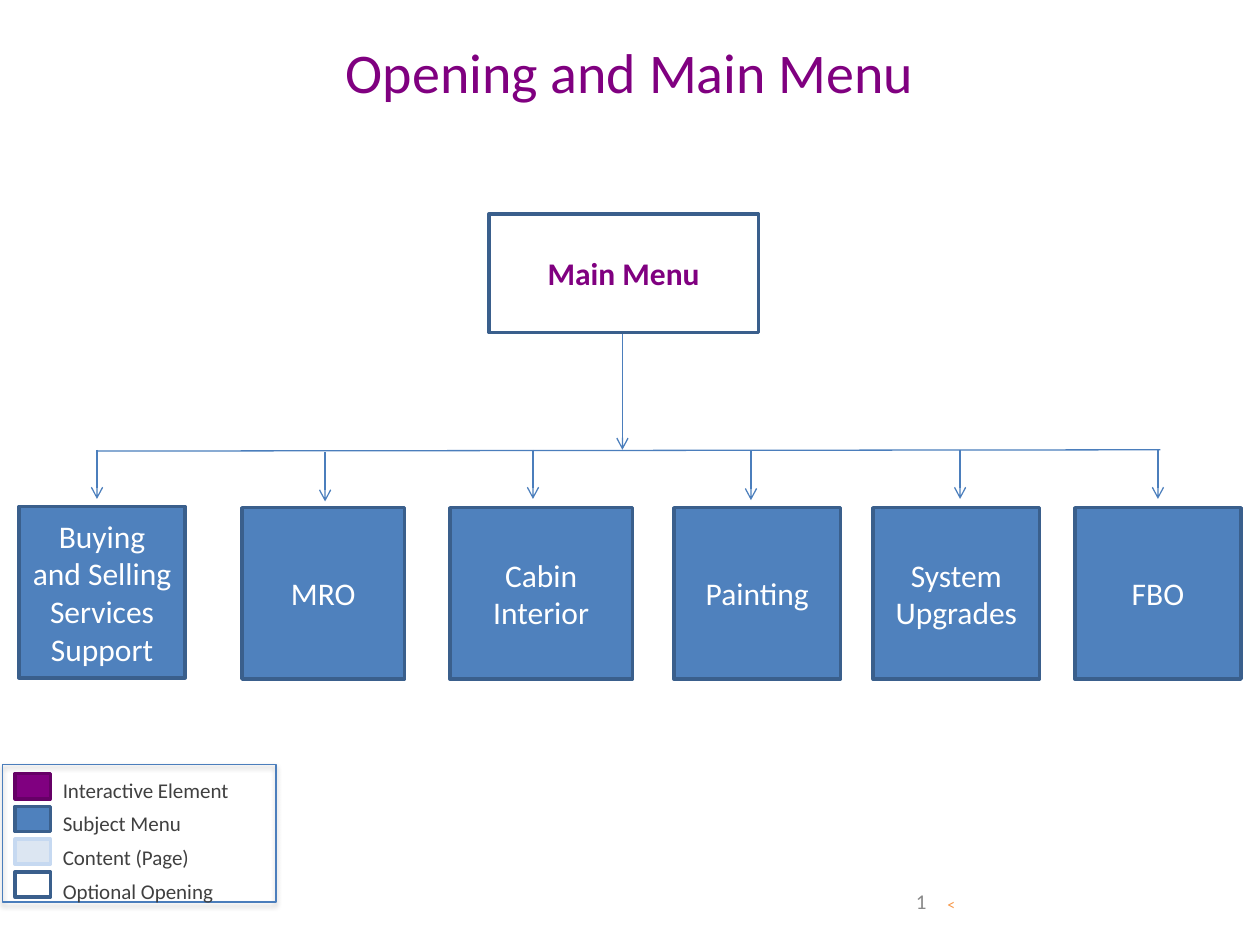
from lxml import etree
from pptx import Presentation
from pptx.dml.color import RGBColor
from pptx.enum.shapes import MSO_CONNECTOR as CONNECTOR, MSO_SHAPE as SHAPE
from pptx.enum.text import MSO_ANCHOR as ANCHOR, PP_ALIGN as ALIGN
from pptx.oxml import parse_xml
from pptx.oxml.ns import nsdecls, qn
from pptx.util import Inches, Pt

# Grid: 100 columns by 75 rows on a 10 x 7.5 inch slide
COLUMNS, ROWS = 100, 75
SLIDE_W, SLIDE_H = Inches(10), Inches(7.5)

PURPLE = RGBColor(0x80, 0x00, 0x80)
DARK_PURPLE = RGBColor(0x66, 0x00, 0x66)
BLUE = RGBColor(0x4F, 0x81, 0xBD)
DARK_BLUE = RGBColor(0x3A, 0x5F, 0x8C)
LINE_BLUE = RGBColor(0x4B, 0x7E, 0xBC)
PALE_BLUE = RGBColor(0xDC, 0xE6, 0xF2)
PALE_EDGE = RGBColor(0xC6, 0xD9, 0xF1)
WHITE = RGBColor(0xFF, 0xFF, 0xFF)
DARK_GRAY = RGBColor(0x40, 0x40, 0x40)
GRAY = RGBColor(0x89, 0x89, 0x89)
ORANGE = RGBColor(0xF7, 0x96, 0x46)

# Subject name, box left, box top, box width, arrow column, arrow top
SUBJECTS = [
    ("Buying and Selling Services Support", 1.5, 40.2, 13.2, 7.7, 35.7),
    ("MRO", 19.2, 40.3, 12.9, 25.8, 35.9),
    ("Cabin Interior", 35.7, 40.3, 14.5, 42.3, 35.7),
    ("Painting", 53.5, 40.3, 13.2, 59.6, 35.8),
    ("System Upgrades", 69.3, 40.3, 13.2, 76.2, 35.7),
    ("FBO", 85.3, 40.3, 13.2, 91.9, 35.7),
]
# Legend label, swatch fill, swatch edge
LEGEND = [
    ("Interactive Element", PURPLE, DARK_PURPLE),
    ("Subject Menu", BLUE, DARK_BLUE),
    ("Content (Page)", PALE_BLUE, PALE_EDGE),
    ("Optional Opening", None, DARK_BLUE),
]


def col(n):
    return round(SLIDE_W * n / COLUMNS)


def row(n):
    return round(SLIDE_H * n / ROWS)


def write(holder, text, size, color, bold=False, align=ALIGN.LEFT, anchor=ANCHOR.TOP):
    frame = holder.text_frame
    frame.word_wrap = True
    frame.vertical_anchor = anchor
    paragraph = frame.paragraphs[0]
    paragraph.text = text
    paragraph.alignment = align
    font = paragraph.runs[0].font
    font.name, font.size, font.bold = "Calibri", Pt(size), bold
    font.color.rgb = color
    return paragraph


def add_text(slide, place, text, size, color, **layout):
    left, top, width, height = place
    holder = slide.shapes.add_textbox(col(left), row(top), col(width), row(height))
    return write(holder, text, size, color, **layout)


def add_box(slide, place, fill, edge, weight=2):
    left, top, width, height = place
    box = slide.shapes.add_shape(
        SHAPE.RECTANGLE, col(left), row(top), col(width), row(height))
    box.shadow.inherit = False
    if fill is None:
        box.fill.background()
    else:
        box.fill.solid()
        box.fill.fore_color.rgb = fill
    box.line.color.rgb = edge
    box.line.width = Pt(weight)
    return box


def add_line(slide, start, end, arrow=False):
    line = slide.shapes.add_connector(
        CONNECTOR.STRAIGHT, col(start[0]), row(start[1]), col(end[0]), row(end[1]))
    line.line.color.rgb = LINE_BLUE
    line.line.width = Pt(0.75)
    if arrow:
        etree.SubElement(line.line._get_or_add_ln(), qn("a:tailEnd"), type="arrow")
    etree.SubElement(line._element.spPr, qn("a:effectLst"))


def add_shadow(box):
    effects = box._element.spPr.find(qn("a:effectLst"))
    effects.append(parse_xml(
        f'<a:outerShdw {nsdecls("a")} blurRad="{Pt(3.1)}" dist="{Pt(1.8)}" '
        'dir="5400000" rotWithShape="0"><a:srgbClr val="000000">'
        '<a:alpha val="35000"/></a:srgbClr></a:outerShdw>'))


def add_menu(slide):
    for name, left, top, width, arrow_col, arrow_top in SUBJECTS:
        subject = add_box(slide, (left, top, width, 13.6), BLUE, DARK_BLUE)
        write(subject, name, 18, WHITE, align=ALIGN.CENTER, anchor=ANCHOR.MIDDLE)
        add_line(slide, (arrow_col, arrow_top), (arrow_col, arrow_top + 3.9), arrow=True)
    add_line(slide, (7.7, 35.8), (92.1, 35.7))
    add_line(slide, (49.4, 26.3), (49.4, 35.7), arrow=True)
    main_menu = add_box(slide, (38.8, 17, 21.4, 9.4), None, DARK_BLUE)
    write(main_menu, "Main Menu", 18, PURPLE, bold=True,
          align=ALIGN.CENTER, anchor=ANCHOR.MIDDLE)


def add_legend(slide):
    frame = add_box(slide, (0.2, 60.7, 21.7, 10.9), None, LINE_BLUE, 0.75)
    add_shadow(frame)
    for i, (name, fill, edge) in enumerate(LEGEND):
        add_box(slide, (1.2, 61.4 + 2.6 * i, 2.8, 2), fill, edge)
        label = add_text(slide, (4, 60.6 + 2.67 * i, 17.6, 3.6), name, 12, DARK_GRAY)
        label.line_spacing = 1.3
        label.space_before = Pt(2.4)


def main():
    deck = Presentation()
    deck.slide_width, deck.slide_height = SLIDE_W, SLIDE_H
    slide = deck.slides.add_slide(deck.slide_layouts[6])

    # Title
    add_text(slide, (5, 2.5, 90, 12.5), "Opening and Main Menu", 32, PURPLE,
             align=ALIGN.CENTER)
    # Menu tree and its key
    add_menu(slide)
    add_legend(slide)
    # Page number and back mark
    add_text(slide, (71.7, 69.5, 3, 4), "1", 12, GRAY, anchor=ANCHOR.MIDDLE)
    add_text(slide, (74.2, 69.8, 3, 4), "<", 9, ORANGE, anchor=ANCHOR.MIDDLE)

    deck.save("out.pptx")


main()
